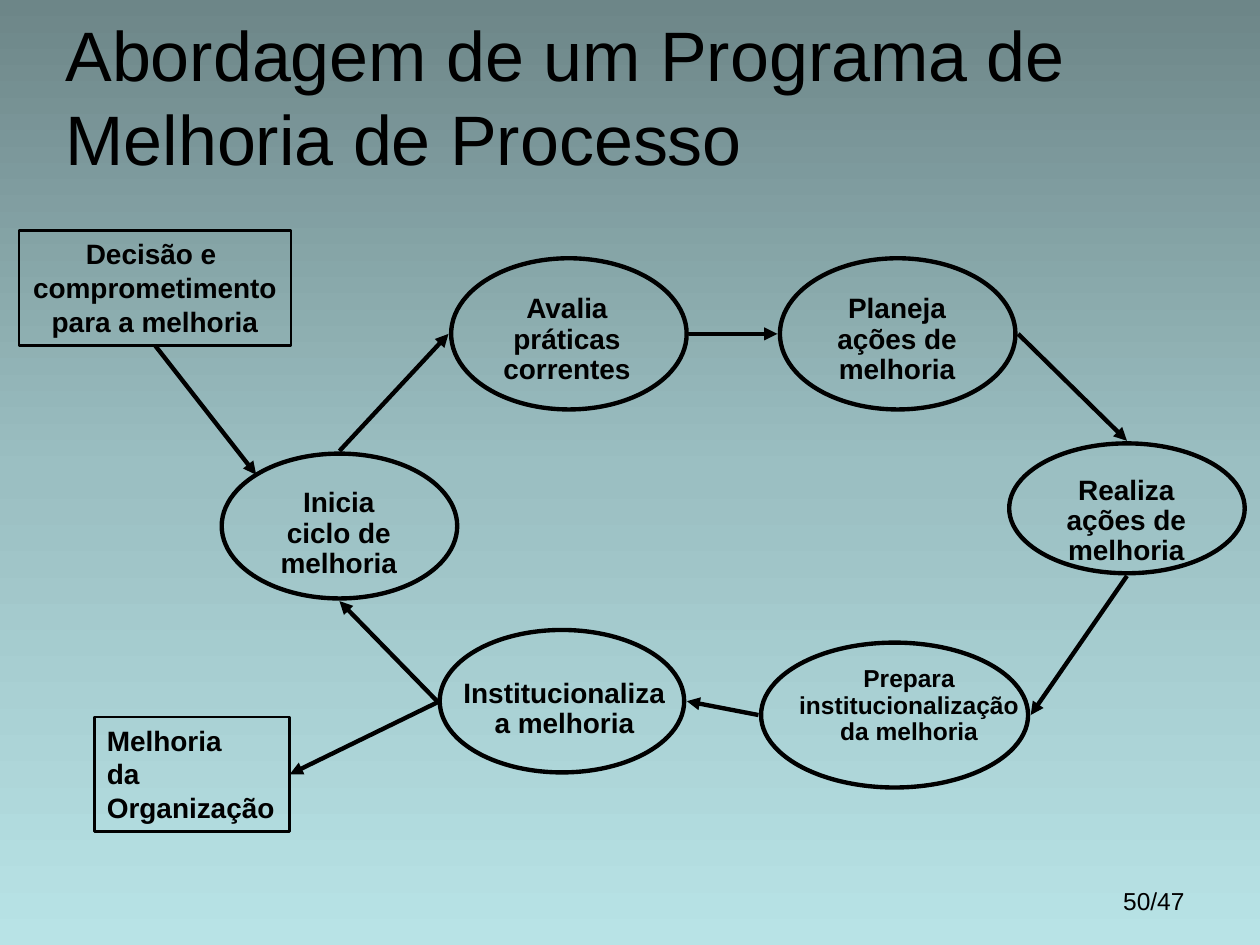
from copy import deepcopy
from dataclasses import dataclass
from math import sqrt

from lxml import etree
from pptx import Presentation
from pptx.dml.color import RGBColor
from pptx.enum.shapes import MSO_CONNECTOR, MSO_SHAPE
from pptx.enum.text import MSO_ANCHOR, MSO_AUTO_SIZE, PP_ALIGN
from pptx.oxml.ns import qn
from pptx.util import Pt

LEFT, CENTER, RIGHT = PP_ALIGN.LEFT, PP_ALIGN.CENTER, PP_ALIGN.RIGHT
BLACK = RGBColor(0x00, 0x00, 0x00)
BACKGROUND = [
    (0, RGBColor(0x6D, 0x86, 0x88)),
    (0.5, RGBColor(0x9B, 0xBF, 0xC2)),
    (1, RGBColor(0xB8, 0xE3, 0xE6)),
]
FONT = "Arial"
ARROW_GAP = 1.5
DIAGONAL = 1 / sqrt(2)

# Sides, as multiples of half the width and half the height
TOP, BOTTOM, WEST, EAST = (0, -1), (0, 1), (-1, 0), (1, 0)
UPPER_LEFT = (-DIAGONAL, -DIAGONAL)


@dataclass(frozen=True)
class Area:
    left: float
    top: float
    width: float
    height: float

    def lengths(self) -> tuple:
        return Pt(self.left), Pt(self.top), Pt(self.width), Pt(self.height)

    def point(self, side: tuple, gap: float = 0) -> tuple:
        return (self.left + self.width / 2 + side[0] * (self.width / 2 + gap),
                self.top + self.height / 2 + side[1] * (self.height / 2 + gap))


@dataclass(frozen=True)
class Step:
    text: str
    oval: Area
    label: Area
    size: float = 16


@dataclass(frozen=True)
class Milestone:
    paragraphs: tuple
    area: Area
    alignment: PP_ALIGN


START = Milestone(("Decisão e \ncomprometimento", "para a melhoria"),
                  Area(10.8, 131.8, 155.5, 65.5), CENTER)
RESULT = Milestone(("Melhoria\nda", "Organização"),
                   Area(54, 409.7, 111.6, 65.5), LEFT)

INITIATE = Step("Inicia\nciclo de\nmelhoria",
                Area(126.7, 259.2, 134.6, 82.8), Area(152.6, 275.8, 82.1, 59.8))
ASSESS = Step("Avalia\npráticas\ncorrentes",
              Area(257.8, 147.6, 134.6, 86.4), Area(280.1, 164.9, 87.8, 59.8))
PLAN = Step("Planeja\nações de\nmelhoria",
            Area(445.7, 147.6, 134.6, 86.4), Area(470.9, 164.9, 83.5, 59.8))
PERFORM = Step("Realiza\nações de\nmelhoria",
               Area(576.7, 253.4, 134.6, 74.2), Area(601.9, 268.6, 83.5, 59.8))
PREPARE = Step("Prepara\ninstitucionalização\nda melhoria",
               Area(434.9, 367.2, 152.6, 82.8), Area(449.3, 377.3, 140.4, 54), 14)
ESTABLISH = Step("Institucionaliza\na melhoria",
                 Area(251.3, 360, 139.7, 81.4), Area(257, 384.5, 131, 42.5))
STEPS = [ESTABLISH, PREPARE, INITIATE, ASSESS, PLAN, PERFORM]

# Each arrow of the cycle: step, side left, next step, side reached
CYCLE = [
    (INITIATE, TOP, ASSESS, WEST),
    (ASSESS, EAST, PLAN, WEST),
    (PLAN, EAST, PERFORM, TOP),
    (PERFORM, BOTTOM, PREPARE, EAST),
    (PREPARE, WEST, ESTABLISH, EAST),
    (ESTABLISH, WEST, INITIATE, BOTTOM),
]


def write(shape, paragraphs: tuple, size: float, bold: bool = False,
          alignment: PP_ALIGN = LEFT, spacing: float = 1) -> None:
    frame = shape.text_frame
    for index, text in enumerate(paragraphs):
        paragraph = frame.add_paragraph() if index else frame.paragraphs[0]
        paragraph.alignment = alignment
        paragraph.line_spacing = spacing
        for number, line in enumerate(text.split("\n")):
            if number:
                paragraph.add_line_break()
            run = paragraph.add_run()
            run.text = line
            run.font.name = FONT
            run.font.size = Pt(size)
            run.font.bold = bold
            run.font.color.rgb = BLACK


def fit_to_text(shape) -> None:
    shape.text_frame.word_wrap = False
    shape.text_frame.auto_size = MSO_AUTO_SIZE.SHAPE_TO_FIT_TEXT


def add_outline(shapes, kind: MSO_SHAPE, area: Area, weight: float):
    shape = shapes.add_shape(kind, *area.lengths())
    shape.shadow.inherit = False
    shape.fill.background()
    shape.line.color.rgb = BLACK
    shape.line.width = Pt(weight)
    return shape


def add_milestone(shapes, milestone: Milestone) -> None:
    shape = add_outline(shapes, MSO_SHAPE.RECTANGLE, milestone.area, 1.5)
    shape.text_frame.vertical_anchor = MSO_ANCHOR.TOP
    fit_to_text(shape)
    write(shape, milestone.paragraphs, 16, True, milestone.alignment)


def add_step(shapes, step: Step) -> None:
    group = shapes.add_group_shape()
    label = group.shapes.add_textbox(*step.label.lengths())
    fit_to_text(label)
    write(label, (step.text,), step.size, True, CENTER, 0.9)
    add_outline(group.shapes, MSO_SHAPE.OVAL, step.oval, 2.5)


def add_arrow(shapes, start: tuple, end: tuple) -> None:
    arrow = shapes.add_connector(MSO_CONNECTOR.STRAIGHT,
                                 *(Pt(value) for value in start + end))
    arrow.line.color.rgb = BLACK
    arrow.line.width = Pt(2.5)
    properties = arrow.element.spPr
    etree.SubElement(properties.find(qn("a:ln")), qn("a:tailEnd"), type="triangle")
    etree.SubElement(properties, qn("a:effectLst"))


def paint_background(slide) -> None:
    fill = slide.background.fill
    fill.gradient()
    fill.gradient_angle = 270
    stop_list = slide.element.find(".//" + qn("a:gsLst"))
    stop_list.insert(1, deepcopy(stop_list[0]))
    for stop, (position, color) in zip(fill.gradient_stops, BACKGROUND):
        stop.position = position
        stop.color.rgb = color


def main() -> None:
    presentation = Presentation()
    presentation.slide_width, presentation.slide_height = Pt(720), Pt(540)
    slide = presentation.slides.add_slide(presentation.slide_layouts[5])
    shapes = slide.shapes
    paint_background(slide)

    # Title
    title = shapes.title
    title.left, title.top, title.width, title.height = Area(30.2, 23.8, 658.8, 61.9).lengths()
    title.text_frame.word_wrap = True
    title.text_frame.auto_size = MSO_AUTO_SIZE.NONE
    title.text_frame.vertical_anchor = MSO_ANCHOR.MIDDLE
    write(title, ("Abordagem de um Programa de Melhoria de Processo",), 40)

    # Start, result and the steps between them
    for milestone in (RESULT, START):
        add_milestone(shapes, milestone)
    for step in STEPS:
        add_step(shapes, step)

    # Arrows of the cycle, then the way in and the way out
    for step, side, next_step, next_side in CYCLE:
        add_arrow(shapes, step.oval.point(side, ARROW_GAP),
                  next_step.oval.point(next_side, ARROW_GAP))
    add_arrow(shapes, START.area.point(BOTTOM), INITIATE.oval.point(UPPER_LEFT))
    add_arrow(shapes, ESTABLISH.oval.point(WEST), RESULT.area.point(EAST))

    # Page number
    page_number = shapes.add_textbox(*Area(516.2, 502.6, 167.8, 37.4).lengths())
    page_number.text_frame.word_wrap = True
    write(page_number, ("50/47",), 14, alignment=RIGHT)

    presentation.save("out.pptx")


if __name__ == "__main__":
    main()
